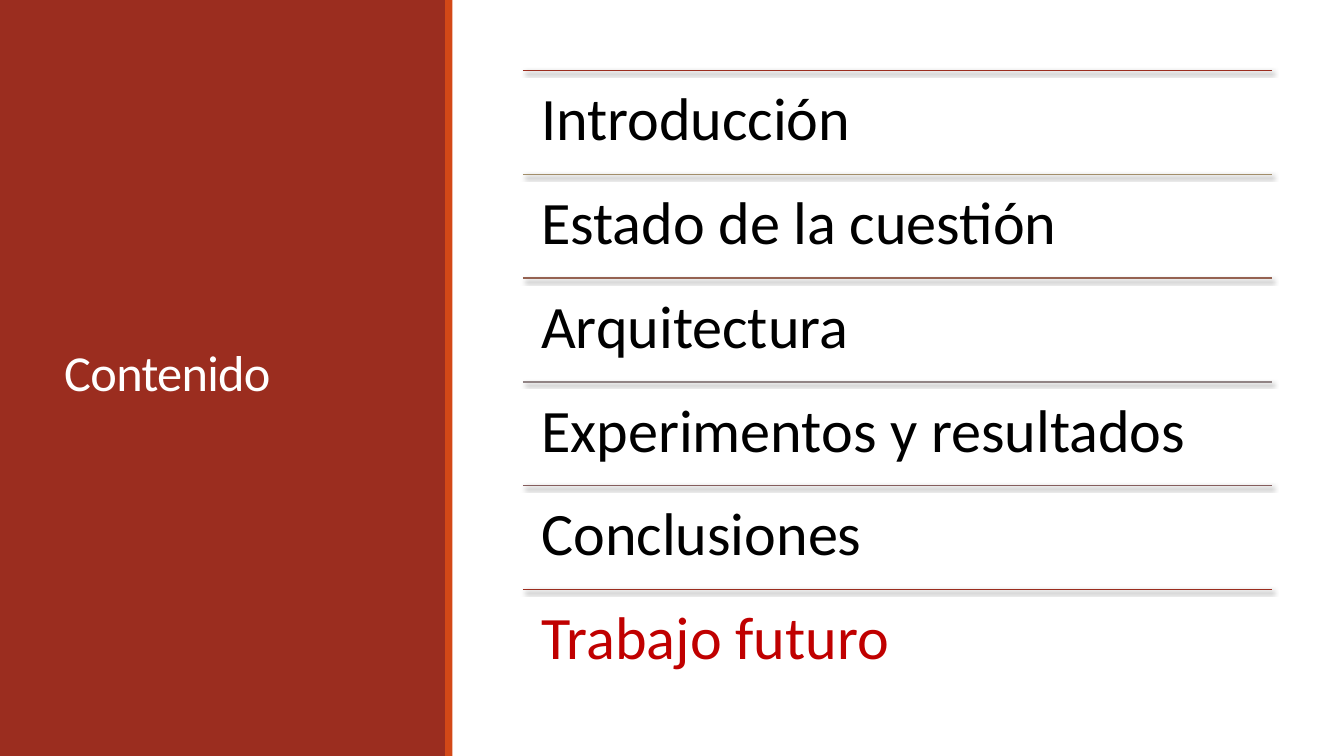
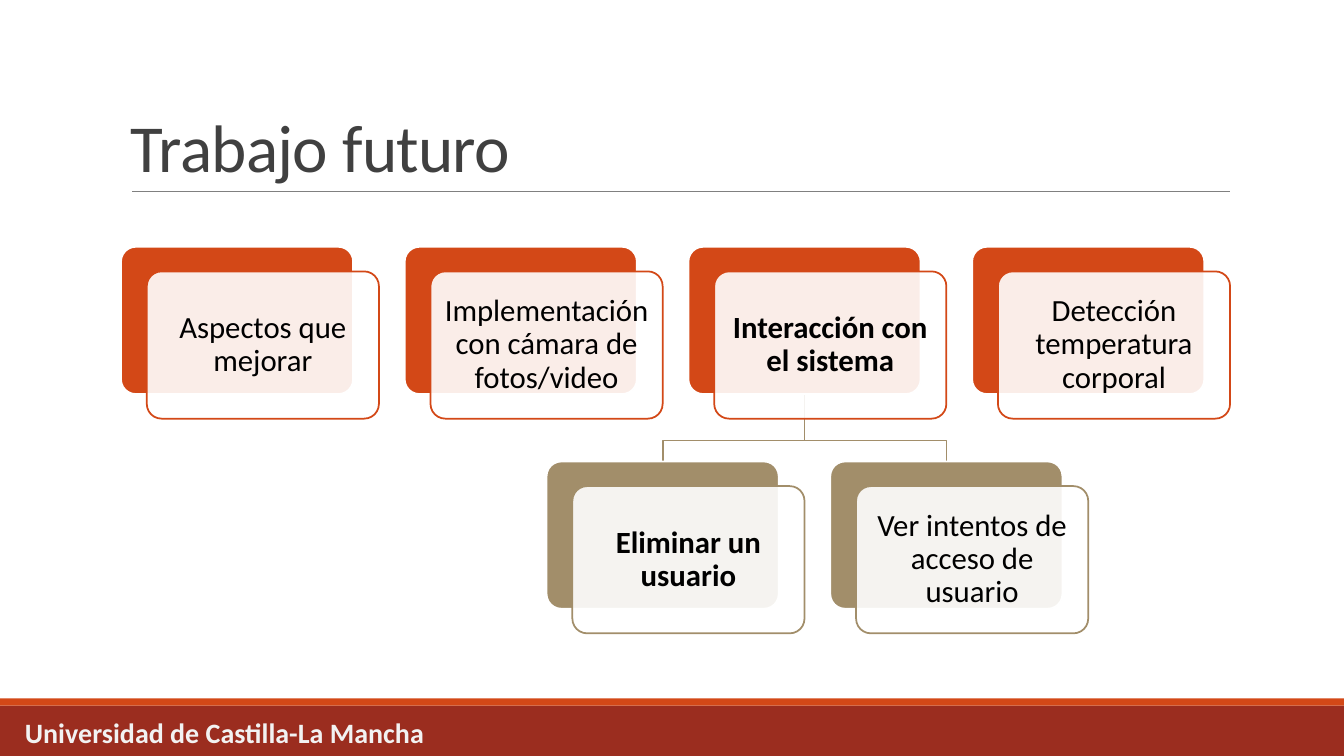
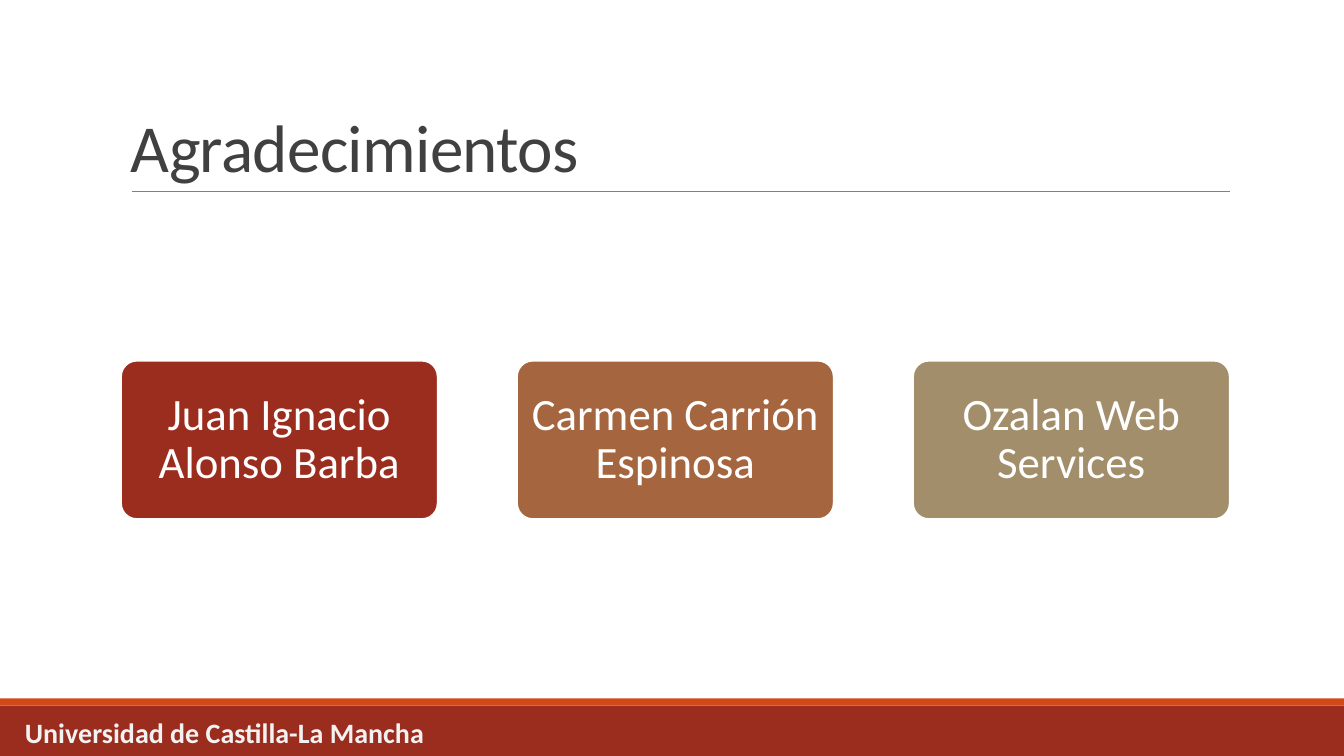
"""Builds three slides: contents, future work and acknowledgements."""
from dataclasses import dataclass

import lxml.etree
import pptx
import pptx.dml.color
import pptx.enum.shapes
import pptx.enum.text
import pptx.oxml.ns
import pptx.shapes.autoshape
import pptx.shapes.connector
import pptx.slide
import pptx.text.text
import pptx.util

Cm = pptx.util.Cm
RGBColor = pptx.dml.color.RGBColor
Anchor = pptx.enum.text.MSO_ANCHOR
Align = pptx.enum.text.PP_ALIGN
Preset = pptx.enum.shapes.MSO_SHAPE
Slide = pptx.slide.Slide
Shape = pptx.shapes.autoshape.Shape

BRICK = RGBColor(0x9B, 0x2D, 0x1F)
ORANGE = RGBColor(0xD3, 0x48, 0x17)
SAND = RGBColor(0xA2, 0x8E, 0x6A)
COPPER = RGBColor(0xA4, 0x65, 0x3F)
BROWN = RGBColor(0x95, 0x62, 0x51)
STONE = RGBColor(0x91, 0x84, 0x85)
MAUVE = RGBColor(0x85, 0x5D, 0x5D)
RED = RGBColor(0xC0, 0x00, 0x00)
GREY = RGBColor(0x80, 0x80, 0x80)
DARK = RGBColor(0x40, 0x40, 0x40)
PALE = RGBColor(0xF2, 0xF2, 0xF2)
WHITE = RGBColor(0xFF, 0xFF, 0xFF)
BLACK = RGBColor(0x00, 0x00, 0x00)

FONT = "Calibri"
SLIDE_WIDTH, SLIDE_HEIGHT = 33.87, 19.05
DEFAULT_INSETS = (0.25, 0.13)
CARD_WIDTH, CARD_HEIGHT = 5.85, 3.71
CARD_LEFT, CARD_PITCH = 3.05, 7.15
CARD_SHIFT_X, CARD_SHIFT_Y = 0.65, 0.62
TOP_ROW, BOTTOM_ROW = 6.22, 11.63


@dataclass(frozen=True)
class Box:
    """A rectangle in centimetres."""
    left: float
    top: float
    width: float
    height: float

    def lengths(self) -> list[pptx.util.Length]:
        """Return the four lengths that python-pptx expects."""
        return [Cm(value) for value in (self.left, self.top, self.width, self.height)]


@dataclass(frozen=True)
class TextStyle:
    """How the text of one box looks."""
    size: float
    color: RGBColor
    bold: bool = False
    align: Align = Align.LEFT
    anchor: Anchor = Anchor.TOP
    line_spacing: float = 0.9
    insets: tuple[float, float] = DEFAULT_INSETS
    tracking: int = 0


@dataclass(frozen=True)
class Topic:
    """One entry of the contents list."""
    text: str
    rule_color: RGBColor
    text_color: RGBColor = BLACK


@dataclass(frozen=True)
class Card:
    """One node of the future work diagram."""
    text: str
    column: float
    top: float
    color: RGBColor
    bold: bool = False

    @property
    def left(self) -> float:
        """Return the left edge of the back plate."""
        return CARD_LEFT + self.column * CARD_PITCH

    @property
    def center(self) -> float:
        """Return the horizontal middle of the back plate."""
        return self.left + CARD_WIDTH / 2


@dataclass(frozen=True)
class Thanks:
    """One name on the acknowledgements slide."""
    text: str
    color: RGBColor


TOPICS = (
    Topic("Introducción", BRICK),
    Topic("Estado de la cuestión", SAND),
    Topic("Arquitectura", BROWN),
    Topic("Experimentos y resultados", STONE),
    Topic("Conclusiones", MAUVE),
    Topic("Trabajo futuro", BRICK, RED),
)
PARENT = Card("Interacción con el sistema", 2, TOP_ROW, ORANGE, True)
CHILDREN = (
    Card("Eliminar un usuario", 1.5, BOTTOM_ROW, SAND, True),
    Card("Ver intentos de acceso de usuario", 2.5, BOTTOM_ROW, SAND),
)
CARDS = (
    Card("Aspectos que mejorar", 0, TOP_ROW, ORANGE),
    Card("Implementación con cámara de fotos/video", 1, TOP_ROW, ORANGE),
    PARENT,
    *CHILDREN,
    Card("Detección temperatura corporal", 3, TOP_ROW, ORANGE),
)
ACKNOWLEDGEMENTS = (
    Thanks("Juan Ignacio Alonso Barba", BRICK),
    Thanks("Carmen Carrión Espinosa", COPPER),
    Thanks("Ozalan Web Services", SAND),
)


def write_text(frame: pptx.text.text.TextFrame, text: str, style: TextStyle) -> None:
    """Fill a text frame with one styled paragraph."""
    frame.word_wrap = True
    frame.vertical_anchor = style.anchor
    horizontal, vertical = style.insets
    frame.margin_left = frame.margin_right = Cm(horizontal)
    frame.margin_top = frame.margin_bottom = Cm(vertical)
    paragraph = frame.paragraphs[0]
    paragraph.alignment = style.align
    paragraph.line_spacing = style.line_spacing
    paragraph.font.name = FONT
    paragraph.font.size = pptx.util.Pt(style.size)
    paragraph.font.bold = style.bold
    paragraph.font.color.rgb = style.color
    run = paragraph.add_run()
    run.text = text
    if style.tracking:
        run._r.get_or_add_rPr().set("spc", str(style.tracking))


def add_text(slide: Slide, box: Box, text: str, style: TextStyle) -> None:
    """Add a text box."""
    write_text(slide.shapes.add_textbox(*box.lengths()).text_frame, text, style)


def add_band(slide: Slide, box: Box, color: RGBColor) -> None:
    """Add a plain rectangle without outline."""
    shape = slide.shapes.add_shape(Preset.RECTANGLE, *box.lengths())
    shape.shadow.inherit = False
    shape.fill.solid()
    shape.fill.fore_color.rgb = color
    shape.line.fill.background()


def add_plate(slide: Slide, box: Box, fill: RGBColor, line: RGBColor) -> Shape:
    """Add a rounded rectangle with an outline."""
    shape = slide.shapes.add_shape(Preset.ROUNDED_RECTANGLE, *box.lengths())
    shape.adjustments[0] = 0.1
    shape.shadow.inherit = False
    shape.fill.solid()
    shape.fill.fore_color.rgb = fill
    shape.line.color.rgb = line
    shape.line.width = pptx.util.Pt(1.25)
    return shape


def add_rule(slide: Slide, left: float, right: float, top: float, color: RGBColor,
             width: float, shadow: bool = False) -> None:
    """Add a horizontal line, with a soft shadow if asked."""
    connector = slide.shapes.add_connector(
        pptx.enum.shapes.MSO_CONNECTOR.STRAIGHT, Cm(left), Cm(top), Cm(right), Cm(top))
    connector.line.color.rgb = color
    connector.line.width = pptx.util.Pt(width)
    qualify = pptx.oxml.ns.qn
    effects = lxml.etree.SubElement(connector._element.spPr, qualify("a:effectLst"))
    if shadow:
        outer = lxml.etree.SubElement(
            effects, qualify("a:outerShdw"), blurRad=str(pptx.util.Pt(3)),
            dist=str(pptx.util.Pt(2)), dir="2700000", rotWithShape="0")
        tint = lxml.etree.SubElement(outer, qualify("a:srgbClr"), val=str(BLACK))
        lxml.etree.SubElement(tint, qualify("a:alpha"), val="60000")


def add_branch(slide: Slide, parent: Card, child: Card) -> None:
    """Draw the stepped line from a parent card to a child card."""
    start = parent.top + CARD_HEIGHT
    bend = start + 1.17
    points = [(parent.center, bend), (child.center, bend), (child.center, child.top)]
    builder = slide.shapes.build_freeform(Cm(parent.center), Cm(start))
    builder.add_line_segments([(Cm(x), Cm(y)) for x, y in points], close=False)
    branch = builder.convert_to_shape()
    branch.shadow.inherit = False
    branch.fill.background()
    branch.line.color.rgb = SAND
    branch.line.width = pptx.util.Pt(1.25)


def add_card(slide: Slide, card: Card) -> None:
    """Draw a coloured back plate and its translucent front plate with text."""
    add_plate(slide, Box(card.left, card.top, CARD_WIDTH, CARD_HEIGHT), card.color, WHITE)
    front_box = Box(card.left + CARD_SHIFT_X, card.top + CARD_SHIFT_Y, CARD_WIDTH, CARD_HEIGHT)
    front = add_plate(slide, front_box, WHITE, card.color)
    tint = front._element.spPr.find(
        pptx.oxml.ns.qn("a:solidFill") + "/" + pptx.oxml.ns.qn("a:srgbClr"))
    lxml.etree.SubElement(tint, pptx.oxml.ns.qn("a:alpha"), val="90000")
    write_text(front.text_frame, card.text, TextStyle(
        22, BLACK, card.bold, Align.CENTER, Anchor.MIDDLE, insets=(0.23, 0.23)))


def add_blank_slide(presentation: pptx.presentation.Presentation) -> Slide:
    """Add a slide on the blank layout."""
    return presentation.slides.add_slide(presentation.slide_layouts[6])


def add_content_slide(presentation: pptx.presentation.Presentation, title: str) -> Slide:
    """Add a slide with the shared title, rule and footer."""
    slide = add_blank_slide(presentation)
    add_band(slide, Box(0, 17.78, SLIDE_WIDTH, 1.27), BRICK)
    add_band(slide, Box(0, 17.6, SLIDE_WIDTH, 0.18), ORANGE)
    add_rule(slide, 3.33, 31, 4.83, GREY, 0.5)
    add_text(slide, Box(3.05, 0.79, 27.94, 4.03), title, TextStyle(
        48, DARK, anchor=Anchor.BOTTOM, line_spacing=0.85, tracking=-50))
    add_text(slide, Box(0.38, 17.91, 11.68, 1.12), "Universidad de Castilla-La Mancha",
             TextStyle(20, PALE, bold=True, line_spacing=1.0))
    return slide


def build_contents(presentation: pptx.presentation.Presentation) -> None:
    """Build the contents slide."""
    slide = add_blank_slide(presentation)
    add_band(slide, Box(0, 0, 11.25, SLIDE_HEIGHT), BRICK)
    add_text(slide, Box(1.37, 1.45, 8.56, 16.03), "Contenido", TextStyle(
        36, WHITE, anchor=Anchor.MIDDLE, line_spacing=0.85, tracking=-50))
    add_band(slide, Box(11.22, 0, 0.18, SLIDE_HEIGHT), ORANGE)
    left, width, height = 13.18, 18.87, 2.615
    for index, topic in enumerate(TOPICS):
        top = 1.78 + index * height
        add_rule(slide, left, left + width, top, topic.rule_color, 1, shadow=True)
        add_text(slide, Box(left, top, width, height), topic.text,
                 TextStyle(43, topic.text_color, insets=(0.46, 0.46)))


def build_future_work(presentation: pptx.presentation.Presentation) -> None:
    """Build the future work diagram."""
    slide = add_content_slide(presentation, "Trabajo futuro")
    for child in reversed(CHILDREN):
        add_branch(slide, PARENT, child)
    for card in CARDS:
        add_card(slide, card)


def build_acknowledgements(presentation: pptx.presentation.Presentation) -> None:
    """Build the acknowledgements slide."""
    slide = add_content_slide(presentation, "Agradecimientos")
    style = TextStyle(32, WHITE, align=Align.CENTER, anchor=Anchor.MIDDLE, insets=(0.17, 0.11))
    for index, thanks in enumerate(ACKNOWLEDGEMENTS):
        plate = add_plate(slide, Box(3.05 + index * 9.98, 9.09, 7.98, 3.99), thanks.color, WHITE)
        write_text(plate.text_frame, thanks.text, style)


def main() -> None:
    """Build and save the presentation."""
    presentation = pptx.Presentation()
    presentation.slide_width = Cm(SLIDE_WIDTH)
    presentation.slide_height = Cm(SLIDE_HEIGHT)
    build_contents(presentation)
    build_future_work(presentation)
    build_acknowledgements(presentation)
    presentation.save("out.pptx")


if __name__ == "__main__":
    main()
